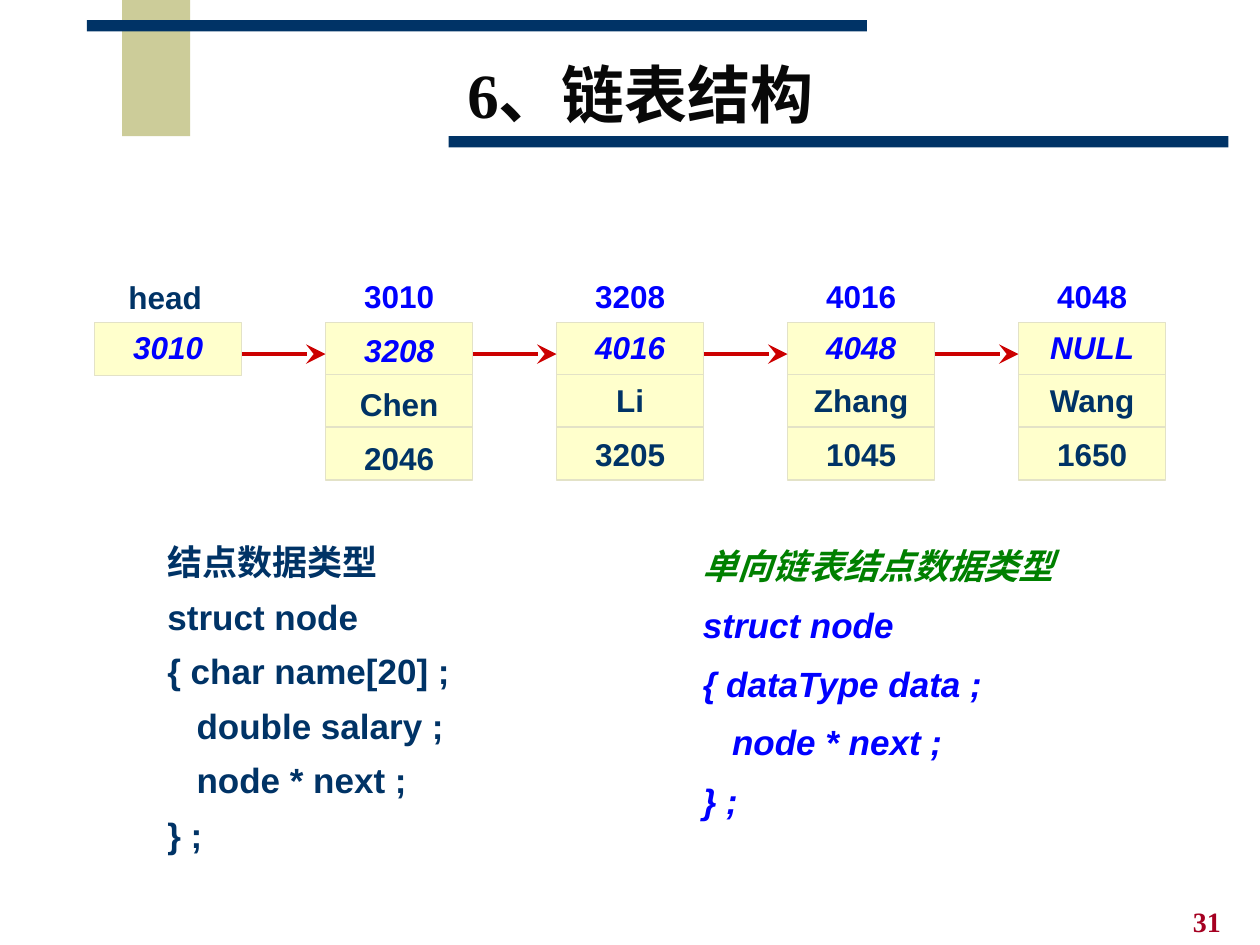
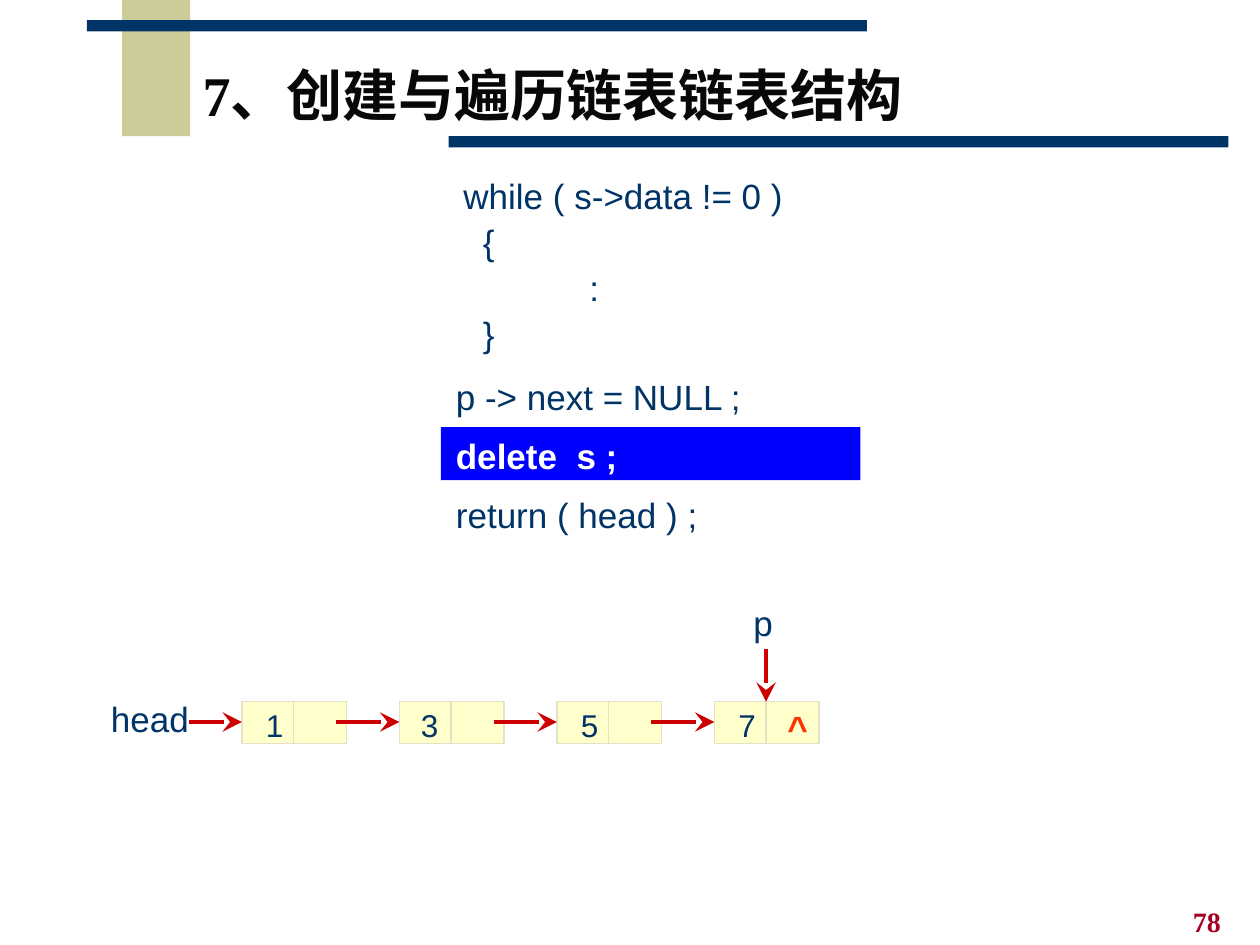
from lxml import etree
from pptx import Presentation
from pptx.dml.color import RGBColor
from pptx.enum.shapes import MSO_CONNECTOR, MSO_SHAPE
from pptx.enum.text import MSO_ANCHOR, PP_ALIGN
from pptx.oxml.ns import qn
from pptx.util import Inches, Pt

NAVY = RGBColor(0x00, 0x33, 0x66)
KHAKI = RGBColor(0xCC, 0xCC, 0x99)
CREAM = RGBColor(0xFF, 0xFF, 0xCC)
EDGE = RGBColor(0xE3, 0xE2, 0xC7)
BLUE = RGBColor(0x00, 0x00, 0xFF)
GREEN = RGBColor(0x00, 0x80, 0x00)
RED = RGBColor(0xCC, 0x00, 0x00)
ORANGE = RGBColor(0xFF, 0x33, 0x00)
CRIMSON = RGBColor(0xA5, 0x00, 0x21)
INK = RGBColor(0x08, 0x08, 0x08)
WHITE = RGBColor(0xFF, 0xFF, 0xFF)
SANS, SERIF = "Arial", "Times New Roman"
RECT, STRAIGHT = MSO_SHAPE.RECTANGLE, MSO_CONNECTOR.STRAIGHT
LEFT, CENTER = PP_ALIGN.LEFT, PP_ALIGN.CENTER
TOP, MIDDLE = MSO_ANCHOR.TOP, MSO_ANCHOR.MIDDLE


class Deck:
    """Holds the shared style and the slide being drawn."""

    def __init__(self):
        self.prs = Presentation()
        self.prs.slide_width, self.prs.slide_height = Inches(10), Inches(7.5)
        self.s = None

    def slide(self, title, at, size, number):
        self.s = self.prs.slides.add_slide(self.prs.slide_layouts[6])
        self.box((0.97, 0, 0.54, 1.08), KHAKI)
        for x, y in ((0.69, 0.16), (3.56, 1.08)):
            self.box((x, y, 6.19, 0.09), NAVY)
        self.text((9.37, 7.13, 0.63, 0.37), [(number, CRIMSON)], 16, bold=True, font=SERIF)
        self.text(at, [(title, INK)], size, CENTER, MIDDLE, bold=True, font=SERIF, spacing=0.85)

    def box(self, at, fill, edge=None):
        sp = self.s.shapes.add_shape(RECT, *map(Inches, at))
        sp.shadow.inherit = False
        sp.fill.solid()
        sp.fill.fore_color.rgb = fill
        if edge is None:
            sp.line.fill.background()
        else:
            sp.line.color.rgb = edge
            sp.line.width = Pt(0.75)

    def line(self, x1, y1, x2, y2, color=EDGE, width=0.75):
        cx = self.s.shapes.add_connector(STRAIGHT, *map(Inches, (x1, y1, x2, y2)))
        cx.line.color.rgb = color
        cx.line.width = Pt(width)
        etree.SubElement(cx._element.spPr, qn("a:effectLst"))
        return cx

    def arrow(self, x1, y1, x2, y2):
        cx = self.line(x1, y1, x2, y2, RED, 2.25)
        ln = cx._element.spPr.find(qn("a:ln"))
        etree.SubElement(ln, qn("a:tailEnd"), type="stealth", w="lg", len="lg")

    def text(self, at, lines, size=18, align=LEFT, anchor=TOP, bold=False, italic=False,
             font=SANS, spacing=None, before=0, wrap=True, tab=None):
        tf = self.s.shapes.add_textbox(*map(Inches, at)).text_frame
        tf.word_wrap = wrap
        tf.vertical_anchor = anchor
        for i, (words, color, *style) in enumerate(lines):
            p = tf.paragraphs[0] if i == 0 else tf.add_paragraph()
            p.alignment = align
            if spacing:
                p.line_spacing = spacing
            if i and before:
                p.space_before = Pt(before)
            if tab:
                stops = etree.SubElement(p._p.get_or_add_pPr(), qn("a:tabLst"))
                etree.SubElement(stops, qn("a:tab"), pos=str(Inches(tab)), algn="l")
            r = p.add_run()
            r.text = words
            r.font.name, r.font.size = font, Pt(size)
            r.font.color.rgb = color
            r.font.bold = bold or "b" in style
            r.font.italic = italic or "i" in style

    def label(self, at, words, color=NAVY, size=18, **style):
        self.text(at, [(words, color)], size, CENTER, MIDDLE, **style)

    def record(self, x, address, fields, text_top):
        self.box((x, 2.56, 1.17, 1.25), CREAM, EDGE)
        for y in (2.97, 3.39):
            self.line(x, y, x + 1.17, y)
        link, name, salary = fields
        self.text((x, text_top, 1.17, 1.25), [(link, BLUE, "i"), (name, NAVY), (salary, NAVY)],
                  18, CENTER, MIDDLE, bold=True, before=9)
        self.label((x + 0.17, 2.15, 0.83, 0.4), address, BLUE, bold=True)

    def cell(self, x, value, offset):
        self.box((x, 5.57, 0.83, 0.33), CREAM, EDGE)
        self.line(x + 0.41, 5.57, x + 0.41, 5.9)
        self.label((x + offset, 5.55, 0.34, 0.4), value, wrap=False)


def list_structure(deck):
    deck.slide("6、链表结构", (2.54, 0.29, 5.09, 1), 36, "31")
    left, pitch, width = 0.75, 5.5 / 3, 1.17
    records = [
        ("3010", ("3208", "Chen", "2046"), 2.58),
        ("3208", ("4016", "Li", "3205"), 2.55),
        ("4016", ("4048", "Zhang", "1045"), 2.55),
        ("4048", ("NULL", "Wang", "1650"), 2.55),
    ]
    deck.box((left, 2.56, width, 0.42), CREAM, EDGE)
    deck.label((0.92, 2.55, 0.83, 0.4), "3010", BLUE, bold=True, italic=True)
    deck.text((0.92, 2.11, 0.95, 0.45), [("head", NAVY)], 18, LEFT, MIDDLE,
              bold=True, spacing=1.15)
    for i, (address, fields, text_top) in enumerate(records, 1):
        x = left + i * pitch
        deck.record(x, address, fields, text_top)
        deck.arrow(x - pitch + width, 2.81, x, 2.81)
    employee = ["结点数据类型", "struct node", "{ char name[20] ;",
                "   double salary ;", "   node * next ;", "} ;"]
    deck.text((1.23, 4.14, 3.02, 2.7), [(t, NAVY) for t in employee], 20, bold=True, spacing=1.3)
    generic = ["struct node", "{ dataType data ;", "   node * next ;", "} ;"]
    deck.text((5.48, 4.14, 3.02, 2.44),
              [("单向链表结点数据类型", GREEN)] + [(t, BLUE) for t in generic],
              20, bold=True, italic=True, spacing=1.4)


def list_creation(deck):
    deck.slide("7、创建与遍历链表链表结构", (1.41, 0.29, 5.96, 1), 32, "78")
    deck.box((3.5, 3.39, 3.33, 0.42), BLUE)
    loop = ["while ( s->data != 0 )", "  {", "\t:", "  }"]
    deck.text((3.58, 1.3, 3.17, 1.57), [(t, NAVY) for t in loop], 20, spacing=1.1, tab=1)
    deck.text((3.52, 2.8, 2.47, 1.5),
              [("p -> next = NULL ;", NAVY), ("delete  s ;", WHITE, "b"),
               ("return ( head ) ;", NAVY)], 20, spacing=1.4, wrap=False)
    deck.label((0.78, 5.48, 0.82, 0.44), "head", size=20, wrap=False)
    deck.label((5.88, 4.72, 0.35, 0.44), "p", size=20, wrap=False)
    cells = [("1", 0.09, 0.42), ("3", 0.07, 0.5), ("5", 0.09, 0.5), ("7", 0.09, 0.5)]
    for i, (value, offset, reach) in enumerate(cells):
        x = 1.92 + i * 1.25
        deck.cell(x, value, offset)
        deck.arrow(x - reach, 5.73, x, 5.73)
    deck.arrow(6.08, 5.15, 6.08, 5.57)
    deck.label((6.15, 5.55, 0.36, 0.44), "^", ORANGE, 20, bold=True, wrap=False)


def main():
    deck = Deck()
    list_structure(deck)
    list_creation(deck)
    deck.prs.save("out.pptx")


if __name__ == "__main__":
    main()
